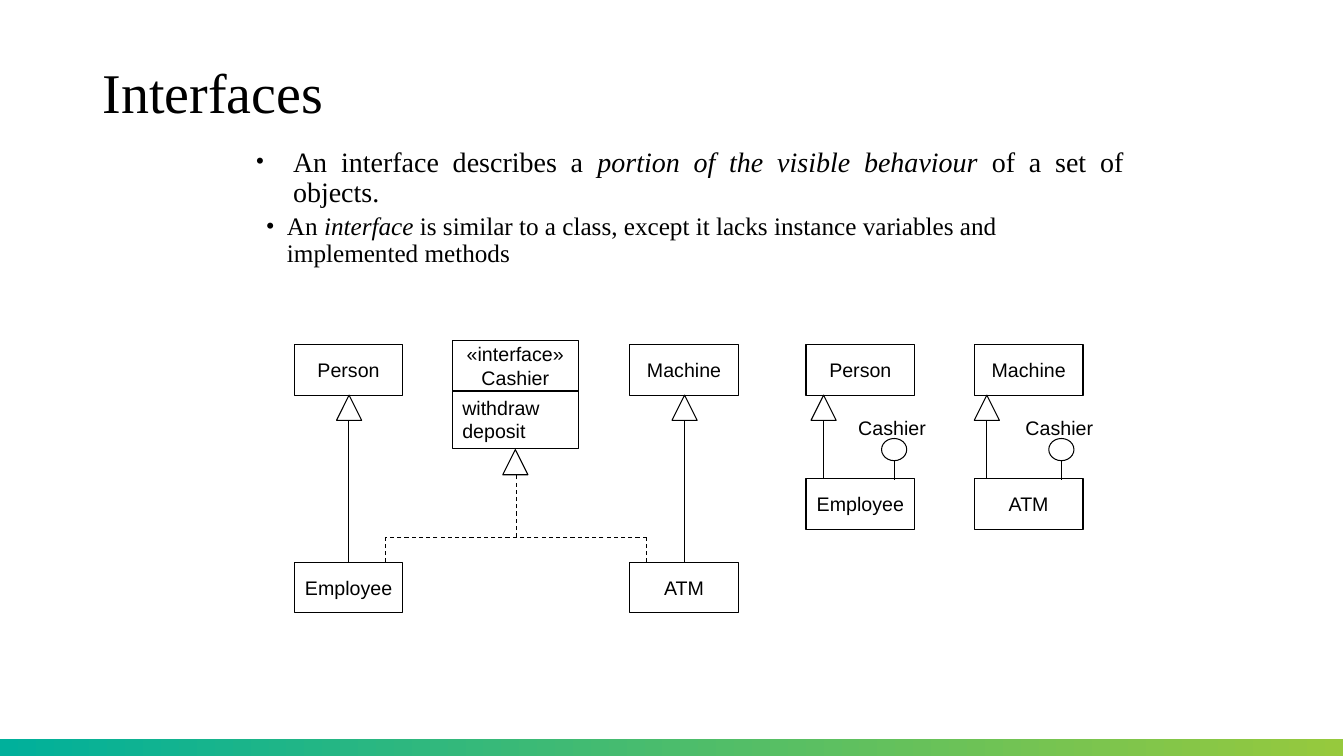
from lxml.etree import SubElement
from pptx import Presentation
from pptx.dml.color import RGBColor
from pptx.enum.dml import MSO_LINE
from pptx.enum.shapes import MSO_CONNECTOR, MSO_SHAPE
from pptx.enum.text import MSO_ANCHOR, PP_ALIGN
from pptx.oxml.ns import qn
from pptx.util import Pt

PX = 9144  # 100 px to the inch
BLACK = RGBColor.from_string("000000")
BOX_W, BOX_H, HEAD = 108, 50, 25

prs = Presentation()
prs.slide_width, prs.slide_height = 1334 * PX, 750 * PX
slide = prs.slides.add_slide(prs.slide_layouts[6])


def add_node(kind, x, y, w, h, lines=(), align=PP_ALIGN.CENTER):
    """Outlined shape with optional lines of text."""
    node = slide.shapes.add_shape(kind, x * PX, y * PX, w * PX, h * PX)
    node.shadow.inherit = False
    node.fill.background()
    node.line.color.rgb = BLACK
    node.line.width = Pt(0.75)
    frame = node.text_frame
    frame.word_wrap = align == PP_ALIGN.LEFT
    frame.vertical_anchor = MSO_ANCHOR.MIDDLE
    paragraph = frame.paragraphs[0]
    paragraph.alignment = align
    for i, line in enumerate(lines):
        if i:
            paragraph.add_line_break()
        run = paragraph.add_run()
        run.text = line
        run.font.name, run.font.size = "Arial", Pt(14)
        run.font.color.rgb = BLACK
    return node


def add_link(x1, y1, x2, y2, dashed=False):
    link = slide.shapes.add_connector(
        MSO_CONNECTOR.STRAIGHT, x1 * PX, y1 * PX, x2 * PX, y2 * PX)
    link.line.color.rgb = BLACK
    link.line.width = Pt(0.75)
    if dashed:
        link.line.dash_style = MSO_LINE.DASH
    SubElement(link._element.spPr, qn("a:effectLst"))
    return link


# Gradient footer bar
footer = slide.shapes.add_shape(MSO_SHAPE.RECTANGLE, 0, 733 * PX, 1333 * PX, 17 * PX)
footer.shadow.inherit = False
footer.line.fill.background()
footer.fill.gradient()
footer.fill.gradient_angle = 0
for stop, color in zip(footer.fill.gradient_stops, ("00B09B", "96C93D")):
    stop.color.rgb = RGBColor.from_string(color)

# Title
title = slide.shapes.add_textbox(92 * PX, 40 * PX, 1150 * PX, 109 * PX).text_frame
title.word_wrap = True
title.vertical_anchor = MSO_ANCHOR.MIDDLE
title.paragraphs[0].line_spacing = 0.9
heading = title.paragraphs[0].add_run()
heading.text = "Interfaces"
heading.font.name, heading.font.size = "Times New Roman", Pt(40)
heading.font.color.rgb = BLACK

# Bullets: size, space before, margin, indent, bullet %, alignment, (text, italic) runs
bullets = [
    (20, 7.5, 48, -37, 90, PP_ALIGN.JUSTIFY,
     [("An interface describes a ", False),
      ("portion of the visible behaviour", True),
      (" of a set of objects.", False)]),
    (18, 3.7, 42, -21, 100, PP_ALIGN.LEFT,
     [("An ", False), ("interface", True),
      (" is similar to a class, except it lacks instance variables "
       "and implemented methods", False)]),
]
body = slide.shapes.add_textbox(233 * PX, 142 * PX, 892 * PX, 550 * PX).text_frame
body.word_wrap = True
for i, (size, before, margin, indent, percent, align, runs) in enumerate(bullets):
    paragraph = body.add_paragraph() if i else body.paragraphs[0]
    paragraph.alignment = align
    paragraph.line_spacing = 0.9
    paragraph.space_before = Pt(before)
    paragraph.level = i
    props = paragraph._p.get_or_add_pPr()
    props.set("marL", str(margin * PX))
    props.set("indent", str(indent * PX))
    SubElement(props, qn("a:buSzPct"), val=str(percent * 1000))
    SubElement(props, qn("a:buFont"), typeface="Times New Roman")
    SubElement(props, qn("a:buChar"), char="•")
    for text, italic in runs:
        run = paragraph.add_run()
        run.text = text
        run.font.name, run.font.size = "Times New Roman", Pt(size)
        run.font.italic = italic
        run.font.color.rgb = BLACK

# Inheritance pairs: left, subclass top, arrow centre from left, names
pairs = [
    (292, 558, 54, "Person", "Employee"),
    (625, 558, 54, "Machine", "ATM"),
    (800, 475, 17, "Person", "Employee"),
    (967, 475, 12, "Machine", "ATM"),
]
for left, sub_top, offset, parent, child in pairs:
    add_node(MSO_SHAPE.RECTANGLE, left, 342, BOX_W, BOX_H, [parent])
    subclass = add_node(MSO_SHAPE.RECTANGLE, left, sub_top, BOX_W, BOX_H, [child])
    centre = left + offset
    add_node(MSO_SHAPE.ISOSCELES_TRIANGLE, centre - HEAD // 2, 392, HEAD, HEAD)
    inheritance = add_link(centre, 392 + HEAD, centre, sub_top)
    if offset == BOX_W // 2:
        inheritance.end_connect(subclass, 0)

# Cashier interface with its operations
add_node(MSO_SHAPE.RECTANGLE, 449, 338, 125, 50, ["«interface»", "Cashier"])
add_node(MSO_SHAPE.RECTANGLE, 449, 387, 125, 58, ["withdraw", "deposit"], PP_ALIGN.LEFT)
add_node(MSO_SHAPE.ISOSCELES_TRIANGLE, 499, 446, HEAD, HEAD)

# Dashed realization tree
for x1, y1, x2, y2 in [(383, 558, 383, 533), (642, 558, 642, 533),
                       (642, 533, 383, 533), (513, 533, 513, 470)]:
    add_link(x1, y1, x2, y2, dashed=True)

# Cashier lollipops
for left in (842, 1008):
    add_link(left + 46, 457, left + 46, 476)
    add_node(MSO_SHAPE.OVAL, left + 33, 435, 25, 22)
    label = slide.shapes.add_textbox(left * PX, 408 * PX, 92 * PX, 34 * PX).text_frame
    label.word_wrap = True
    run = label.paragraphs[0].add_run()
    run.text = "Cashier"
    run.font.name, run.font.size = "Arial", Pt(14)
    run.font.color.rgb = BLACK

prs.save("out.pptx")
